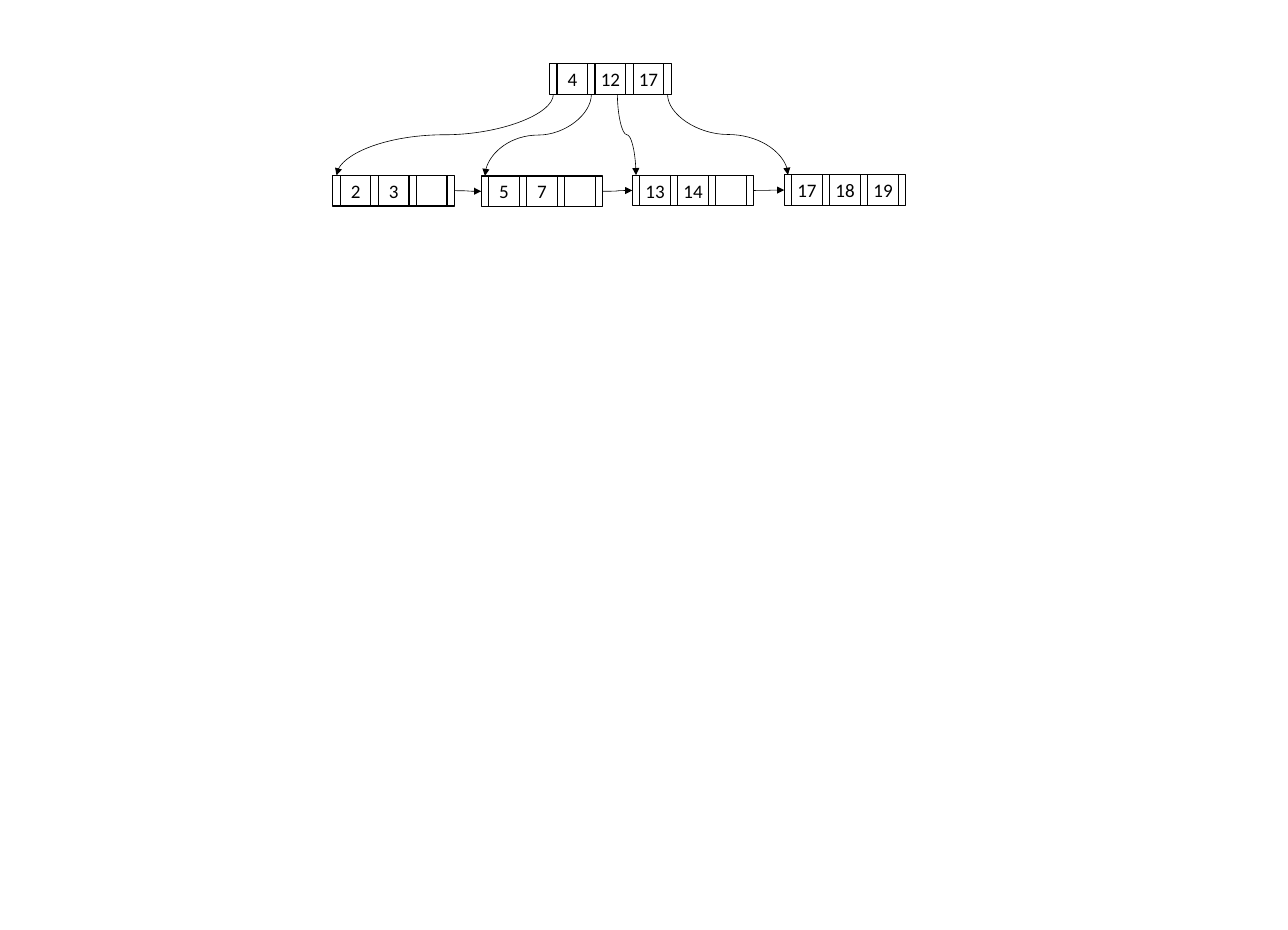
"""Draw a B+ tree with one root and four linked leaves."""
from lxml import etree
from pptx import Presentation
from pptx.enum import shapes, text
from pptx.oxml import ns
from pptx.util import Pt
from pptx.dml import color

HUES = {"ink": "000000"}
INK = color.RGBColor.from_string(HUES["ink"])
KEY, GAP, STEP = 25.7, 6.2, 31.9
NODES = [
    (460.9, 53.3, ["4", "12", "17"]),
    (279.1, 147.1, ["2", "3", ""]),
    (403.5, 147.6, ["5", "7", ""]),
    (530.2, 146.9, ["13", "14", ""]),
    (657.6, 146.6, ["17", "18", "19"]),
]

deck = Presentation()
deck.slide_width, deck.slide_height = Pt(1080), Pt(780)
slide = deck.slides.add_slide(deck.slide_layouts[6])


def add_cell(group, left, top, width, label=""):
    cell = group.shapes.add_shape(
        shapes.MSO_SHAPE.RECTANGLE, Pt(left), Pt(top), Pt(width), Pt(KEY))
    cell.shadow.inherit = False
    cell.fill.background()
    cell.line.color.rgb = INK
    cell.line.width = Pt(1)
    if label:
        frame = cell.text_frame
        frame.margin_left = frame.margin_right = 0
        frame.margin_top = frame.margin_bottom = 0
        frame.vertical_anchor = text.MSO_ANCHOR.MIDDLE
        para = frame.paragraphs[0]
        para.text = label
        para.alignment = text.PP_ALIGN.CENTER
        para.font.name = "Calibri"
        para.font.size = Pt(16)
        para.font.color.rgb = INK
    return cell


def add_arrow(start, end):
    arrow = slide.shapes.add_connector(
        shapes.MSO_CONNECTOR.CURVE, *map(Pt, start + end))
    arrow.line.color.rgb = INK
    arrow.line.width = Pt(0.5)
    props = arrow.line._get_or_add_ln()
    etree.SubElement(props, ns.qn("a:tailEnd"), type="triangle")
    etree.SubElement(arrow._element.spPr, ns.qn("a:effectLst"))
    return arrow


tree = []
for left, top, keys in NODES:
    group = slide.shapes.add_group_shape()
    slots = [add_cell(group, left + i * STEP, top, GAP)
             for i in range(len(keys) + 1)]
    for i, key in enumerate(keys):
        add_cell(group, left + GAP + i * STEP, top, KEY, key)
    tree.append(slots)

root, *leaves = tree
for i, (slot, leaf) in enumerate(zip(root, leaves)):
    arrow = add_arrow((517.7, 79), (533.3, 146.9))
    if i != 2:
        arrow.begin_connect(slot, 2)
    arrow.end_connect(leaf[0], 0)
    x1, y1, x2, y2 = arrow.begin_x, arrow.begin_y, arrow.end_x, arrow.end_y
    wide, high = abs(x2 - x1), y2 - y1
    frame = arrow._element.spPr.find(ns.qn("a:xfrm"))
    frame.attrib.clear()
    frame.set("rot", "5400000" if x2 < x1 else "16200000")
    if x2 > x1:
        frame.set("flipH", "1")
    arrow.left, arrow.top = (x1 + x2 - high) // 2, (y1 + y2 - wide) // 2
    arrow.width, arrow.height = high, wide

for prior, after in zip(leaves, leaves[1:]):
    link = add_arrow((0, 0), (0, 0))
    link.begin_connect(prior[-1], 3)
    link.end_connect(after[0], 1)

deck.save("out.pptx")
